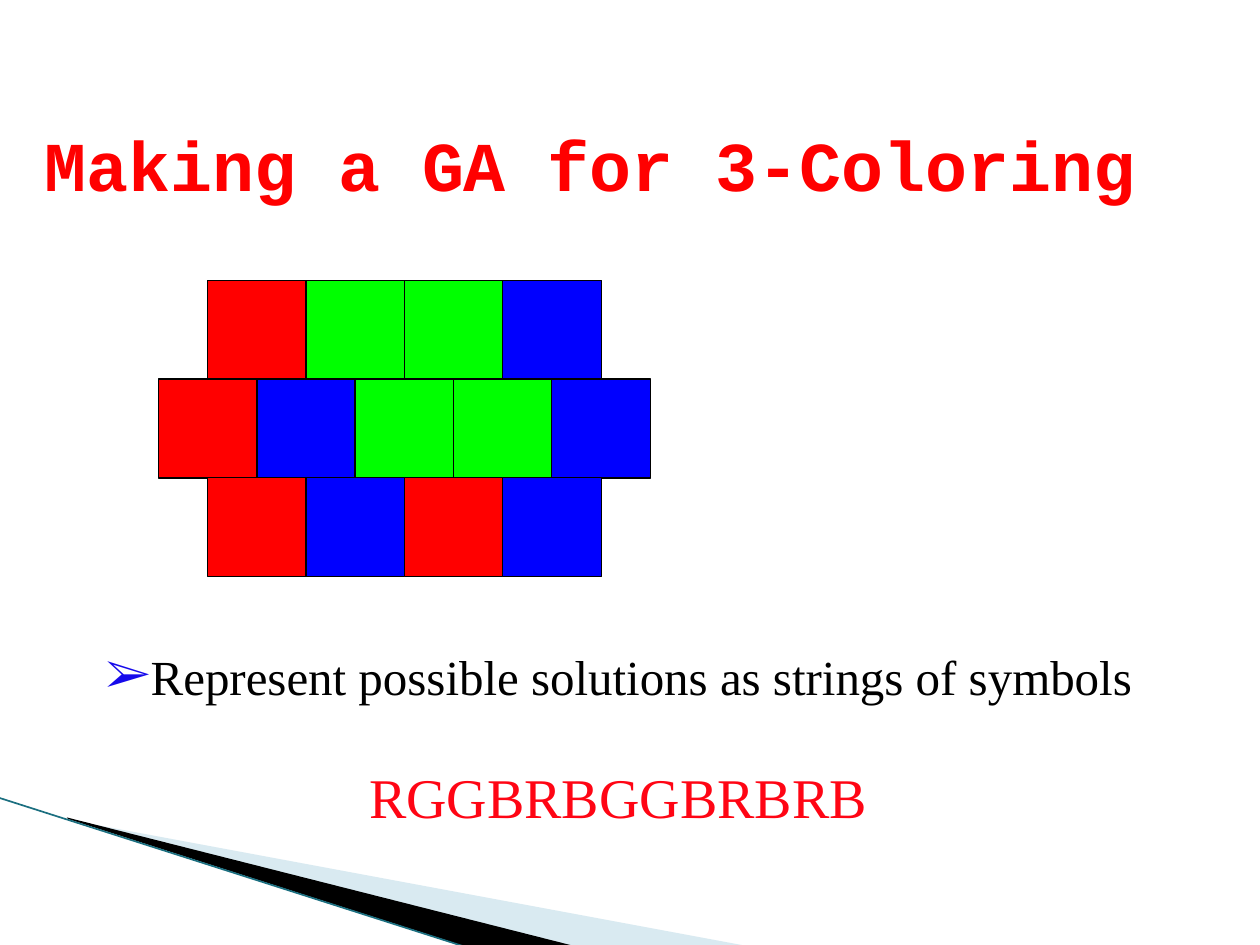
from lxml import etree
from pptx import Presentation
from pptx.dml.color import RGBColor
from pptx.enum.shapes import MSO_CONNECTOR, MSO_SHAPE
from pptx.enum.text import MSO_ANCHOR, PP_ALIGN
from pptx.oxml.ns import qn
from pptx.util import Cm, Pt

RECTANGLE = MSO_SHAPE.RECTANGLE
STRAIGHT = MSO_CONNECTOR.STRAIGHT
LEFT, CENTER = PP_ALIGN.LEFT, PP_ALIGN.CENTER
TOP, MIDDLE = MSO_ANCHOR.TOP, MSO_ANCHOR.MIDDLE

TITLE = "Making a GA for 3-Coloring"
STATEMENT = "Represent possible solutions as strings of symbols"
SOLUTION = "RGGBRBGGBRBRB"
SYMBOL_COLORS = {"R": "FF0000", "G": "00FF00", "B": "0000FF"}

# Map of regions, in cm
ROW_LENGTHS = (4, 5, 4)
MAP_CENTER, MAP_TOP = 8.16, 5.65
REGION_SIZE, COLUMN_PITCH, ROW_PITCH = 2, 1.98, 1.99

# Corner decoration: outline in cm, colour, opacity in percent
WEDGES = [
    ([(1.4, 16.53), (15.11, 19.08), (11.58, 19.08), (1.4, 16.51)], "A0CBDC", 40),
    ([(1.35, 16.48), (11.61, 19.08), (9.45, 19.1), (1.37, 16.51)], "000000", 100),
]
EDGE = (-0.03, 16.08, 9.42, 19.1)
EDGE_COLOR = "1B6F80"


def color(value):
    """Turn a hex string into a colour."""
    return RGBColor.from_string(value)


def add_wedge(page, points, fill, opacity):
    """Draw a borderless filled outline."""
    corners = [(Cm(x), Cm(y)) for x, y in points]
    builder = page.shapes.build_freeform(*corners[0])
    builder.add_line_segments(corners[1:], close=True)
    wedge = builder.convert_to_shape()
    wedge.shadow.inherit = False
    wedge.line.fill.background()
    wedge.fill.solid()
    wedge.fill.fore_color.rgb = color(fill)
    if opacity < 100:
        tone = wedge._element.spPr.find(".//" + qn("a:srgbClr"))
        etree.SubElement(tone, qn("a:alpha"), val=str(opacity * 1000))


def add_edge(page):
    """Draw the thin line along the corner decoration."""
    edge = page.shapes.add_connector(STRAIGHT, *map(Cm, EDGE))
    edge.line.color.rgb = color(EDGE_COLOR)
    edge.line.width = Pt(0.95)
    etree.SubElement(edge._element.spPr, qn("a:effectLst"))


def add_region_map(page):
    """Draw one square per symbol, in rows centred on each other."""
    group = page.shapes.add_group_shape()
    symbols = iter(SOLUTION)
    for row, length in enumerate(ROW_LENGTHS):
        row_width = (length - 1) * COLUMN_PITCH + REGION_SIZE
        row_left = MAP_CENTER - row_width / 2
        for column in range(length):
            region = group.shapes.add_shape(
                RECTANGLE, Cm(row_left + column * COLUMN_PITCH),
                Cm(MAP_TOP + row * ROW_PITCH), Cm(REGION_SIZE), Cm(REGION_SIZE))
            region.shadow.inherit = False
            region.fill.solid()
            region.fill.fore_color.rgb = color(SYMBOL_COLORS[next(symbols)])
            region.line.color.rgb = color("000000")
            region.line.width = Pt(0.74)


def add_text(page, text, place, *, font, size, fill, bold=False, align=LEFT,
             anchor=TOP, bullet=None, bullet_color=None):
    """Add a one-paragraph text box at a place given in cm."""
    box = page.shapes.add_textbox(*map(Cm, place))
    frame = box.text_frame
    frame.word_wrap = True
    frame.vertical_anchor = anchor
    para = frame.paragraphs[0]
    para.alignment = align
    span = para.add_run()
    span.text = text
    span.font.name = font
    span.font.size = Pt(size)
    span.font.bold = bold
    span.font.color.rgb = color(fill)
    if bullet:
        properties = para._p.get_or_add_pPr()
        tint = etree.SubElement(properties, qn("a:buClr"))
        etree.SubElement(tint, qn("a:srgbClr"), val=bullet_color)
        etree.SubElement(properties, qn("a:buFont"), typeface=font)
        etree.SubElement(properties, qn("a:buChar"), char=bullet)


def build():
    """Build and save the slide."""
    deck = Presentation()
    deck.slide_width, deck.slide_height = Cm(25.4), Cm(19.05)
    page = deck.slides.add_slide(deck.slide_layouts[6])
    for wedge in WEDGES:
        add_wedge(page, *wedge)
    add_edge(page)
    add_text(page, TITLE, (0.64, 2.29, 24.76, 2), font="Courier New", size=40,
             fill="FF0000", bold=True, anchor=MIDDLE)
    add_region_map(page)
    add_text(page, SOLUTION, (7.19, 15.24, 11, 1.62),
             font="Times New Roman", size=32, fill="FF0514")
    add_text(page, STATEMENT, (1.83, 12.9, 21.29, 1.45),
             font="Times New Roman", size=28, fill="000000", align=CENTER,
             bullet="\u27a2", bullet_color="160AEB")
    deck.save("out.pptx")


build()
